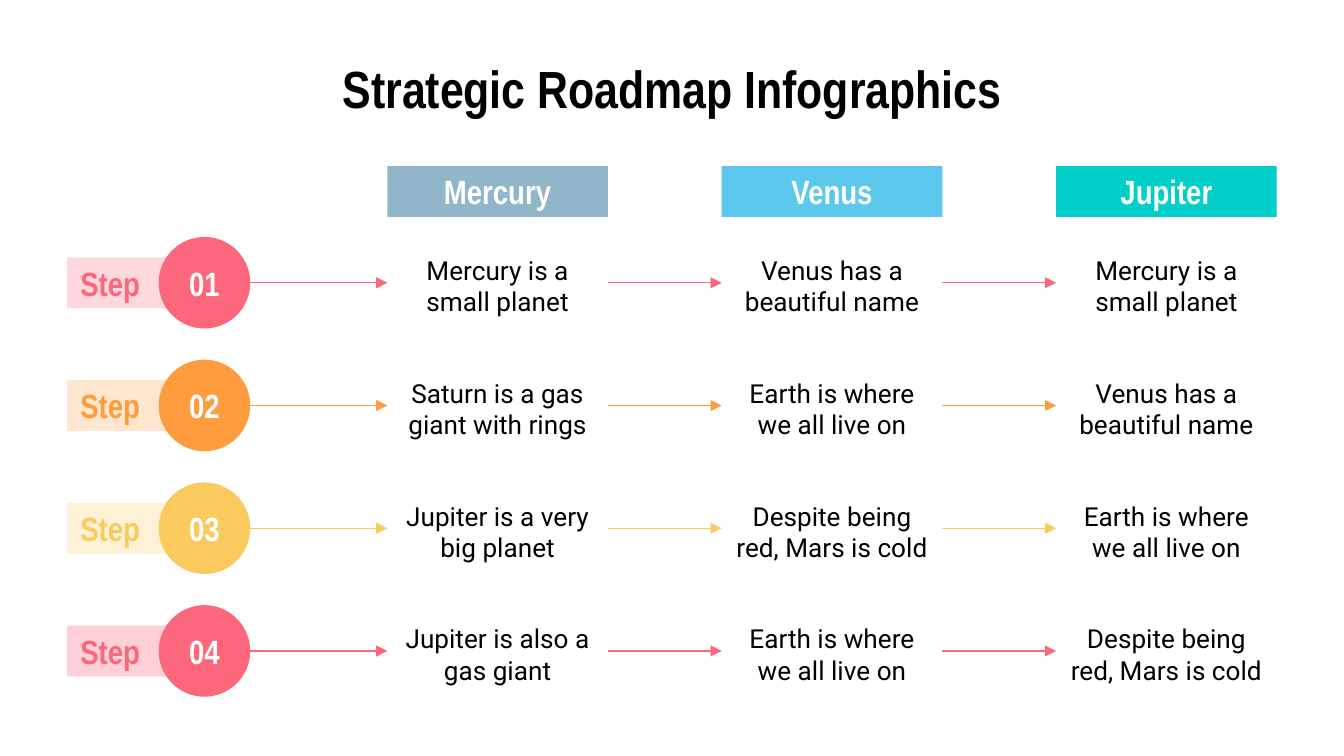
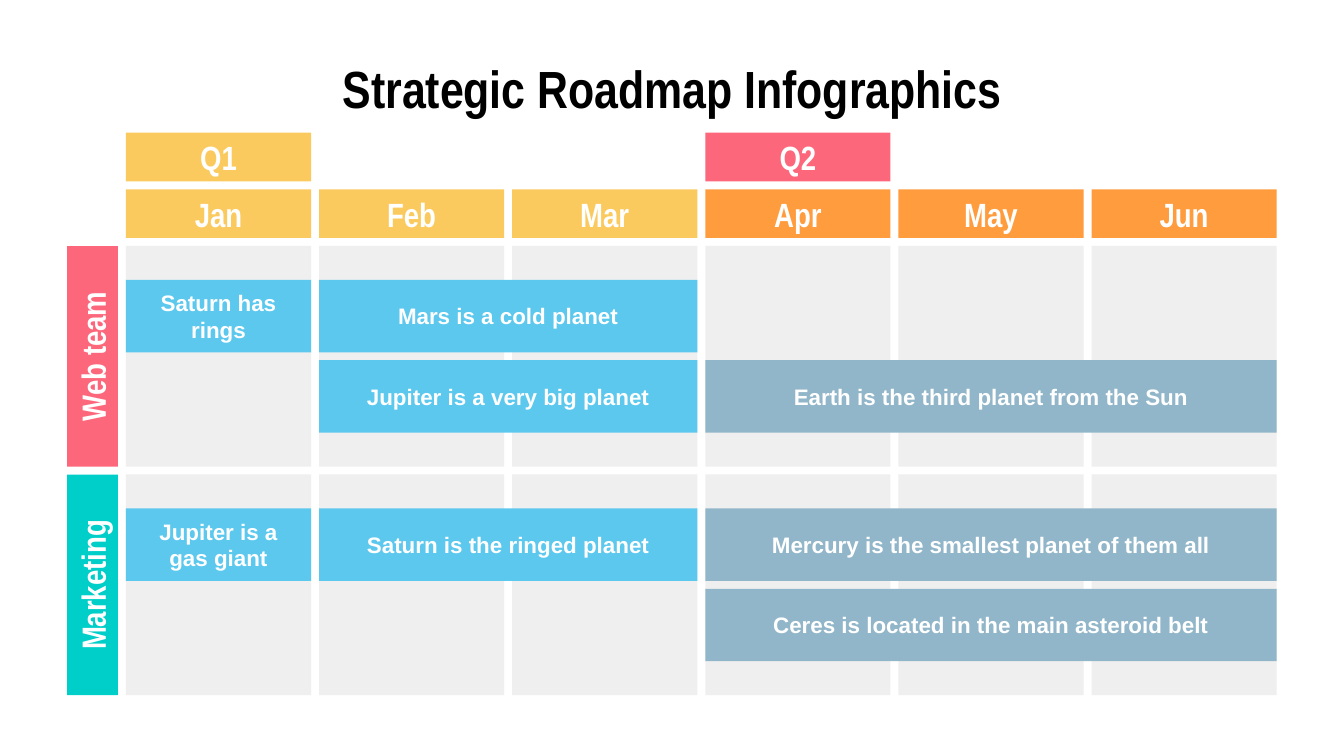
from dataclasses import dataclass

from lxml import etree
from pptx import Presentation
from pptx import util as u
from pptx.dml import color
from pptx.enum import shapes, text
from pptx.oxml import ns

KIND = shapes.MSO_SHAPE
MID = text.MSO_ANCHOR.MIDDLE
TOP = text.MSO_ANCHOR.TOP
PAD = 0.25


@dataclass(frozen=True)
class Theme:
    pink: str = "FD677B"
    orange: str = "FF9C3E"
    yellow: str = "FBCA5F"
    steel: str = "92B6C9"
    sky: str = "5CC8EE"
    teal: str = "00CEC8"
    grey: str = "EFEFEF"
    black: str = "000000"
    white: str = "FFFFFF"

    def style(self, name, tint=None):
        """Font values of a named text style."""
        face, size, bold, ink = {
            "title": ("Arial Narrow", 28, True, self.black),
            "head": ("Arial Narrow", 18, True, self.white),
            "bar": ("Arial", 12, True, self.white),
            "body": ("Roboto", 14, False, self.black),
        }[name]
        return {"name": face, "size": u.Pt(size), "bold": bold}, tint or ink


THEME = Theme()

HEADS = [("Mercury", THEME.steel), ("Venus", THEME.sky), ("Jupiter", THEME.teal)]
STEPS = [
    (THEME.pink, 25, ["Mercury is a small planet", "Venus has a beautiful name",
                      "Mercury is a small planet"]),
    (THEME.orange, 25, ["Saturn is a gas giant with rings", "Earth is where we all live on",
                        "Venus has a beautiful name"]),
    (THEME.yellow, 25, ["Jupiter is a very big planet", "Despite being red, Mars is cold",
                        "Earth is where we all live on"]),
    (THEME.pink, 31, ["Jupiter is also a gas giant", "Earth is where we all live on",
                      "Despite being red, Mars is cold"]),
]
MONTHS = ["Jan", "Feb", "Mar", "Apr", "May", "Jun"]
TERMS = [("Q1", 0, THEME.yellow), ("Q2", 3, THEME.pink)]
# Each bar: words, first month, months covered, line within the team
TEAMS = [
    ("Web team", THEME.pink, [
        ("Saturn has rings", 0, 1, 0), ("Mars is a cold planet", 1, 2, 0),
        ("Jupiter is a very big planet", 1, 2, 1),
        ("Earth is the third planet from the Sun", 3, 3, 1)]),
    ("Marketing", THEME.teal, [
        ("Jupiter is a gas giant", 0, 1, 0), ("Saturn is the ringed planet", 1, 2, 0),
        ("Mercury is the smallest planet of them all", 3, 3, 0),
        ("Ceres is located in the main asteroid belt", 3, 3, 1)]),
]


def cm(*sizes):
    return [u.Cm(size) for size in sizes]


def write(shape, words, style, tint=None, align="CENTER", anchor=MID):
    frame = shape.text_frame
    side = u.Cm(PAD)
    values = {"word_wrap": True, "auto_size": text.MSO_AUTO_SIZE.NONE,
              "vertical_anchor": anchor, "margin_left": side, "margin_right": side,
              "margin_top": side, "margin_bottom": side}
    for key, value in values.items():
        setattr(frame, key, value)
    para = frame.paragraphs[0]
    para.alignment = getattr(text.PP_ALIGN, align)
    run = para.add_run()
    run.text = words
    values, ink = THEME.style(style, tint)
    for key, value in values.items():
        setattr(run.font, key, value)
    run.font.color.rgb = color.RGBColor.from_string(ink)


def block(slide, box, fill, kind=KIND.RECTANGLE, alpha=None):
    """Filled shape without outline; alpha is the opacity in percent."""
    shape = slide.shapes.add_shape(kind, *cm(*box))
    shape.shadow.inherit = False
    shape.fill.solid()
    shape.fill.fore_color.rgb = color.RGBColor.from_string(fill)
    shape.line.fill.background()
    if alpha:
        tone = shape.fill.fore_color
        node = shape.element.spPr.find(ns.qn("a:solidFill")).find(ns.qn("a:srgbClr"))
        etree.SubElement(node, ns.qn("a:alpha"), val=str(alpha * 1000))
    return shape


def label(slide, box, words, fill):
    shape = block(slide, box, fill)
    write(shape, words, "head")
    return shape


def note(slide, box, words):
    shape = slide.shapes.add_textbox(*cm(*box))
    write(shape, words, "body", anchor=TOP)


def arrow(slide, left, right, y, tint):
    line = slide.shapes.add_connector(shapes.MSO_CONNECTOR.STRAIGHT, *cm(left, y, right, y))
    line.line.color.rgb = color.RGBColor.from_string(tint)
    line.line.width = u.Pt(0.75)
    etree.SubElement(line.line._get_or_add_ln(), ns.qn("a:tailEnd"), type="triangle")
    etree.SubElement(line.element.spPr, ns.qn("a:effectLst"))


def badge(slide, box, count, tint, alpha):
    """Step tag with a numbered disc at its right end."""
    x, y, w, h = box
    tag = 0.96
    bar = block(slide, (x, y + (h - tag) / 2, 2.59, tag), tint, alpha=alpha)
    write(bar, "Step", "head", tint, "LEFT")
    disc = block(slide, (x + w - h, y, h, h), tint, KIND.OVAL)
    write(disc, f"{count:02}", "head")


def start(deck):
    """New slide with the shared title."""
    slide = deck.slides.add_slide(deck.slide_layouts[5])
    title = slide.shapes.title
    title.left, title.top, title.width, title.height = cm(1.27, 1.14, 22.86, 1.04)
    write(title, "Strategic Roadmap Infographics", "title")
    return slide


def steps(slide, box):
    """Step rows under planet heads, joined by arrows."""
    x, y, w, h = box
    wide, pitch, disc = 4.17, 6.32, 1.73
    lefts = [x + w - wide - pitch * (2 - col) for col in range(3)]
    for left, (name, fill) in zip(lefts, HEADS):
        label(slide, (left, y, wide, 0.96), name, fill)
    tag, tall = 3.46, 1.57
    first = y + 1.34
    drop = (y + h - disc - first) / (len(STEPS) - 1)
    for row, (tint, alpha, notes) in enumerate(STEPS):
        top = first + row * drop
        mid = top + disc / 2
        badge(slide, (x, top, tag, disc), row + 1, tint, alpha)
        ends = [x + tag] + [left + wide for left in lefts]
        for end, left, words in zip(ends, lefts, notes):
            arrow(slide, end, left, mid, tint)
            note(slide, (left, mid - tall / 2, wide, tall), words)


def plan(slide, box):
    """Team rows across six months, with bars for the work."""
    x, y, w, h = box
    gap, side, head = 0.15, 0.96, 0.92
    left = x + side + gap
    wide = (x + w - left - 5 * gap) / 6
    top = y + 2 * (head + gap)
    tall = (y + h - top - gap) / 2

    def span(col, count=1):
        return left + col * (wide + gap), count * (wide + gap) - gap

    def cell(col, line_top, high, count=1):
        start_x, width = span(col, count)
        return start_x, line_top, width, high

    for name, col, fill in TERMS:
        label(slide, cell(col, y, head), name, fill)
    for col, name in enumerate(MONTHS):
        fill = THEME.yellow if col < 3 else THEME.orange
        label(slide, cell(col, y + head + gap, head), name, fill)
    for row, (name, fill, bars) in enumerate(TEAMS):
        edge = top + row * (tall + gap)
        for col in range(6):
            block(slide, cell(col, edge, tall), THEME.grey)
        turn = (tall - side) / 2
        tab = label(slide, (x - turn, edge + turn, tall, side), name, fill)
        tab.rotation = 270
        for words, col, count, line in bars:
            high = 1.37
            tint = THEME.sky if col < 3 else THEME.steel
            spot = cell(col, edge + 0.64 + line * (high + gap), high, count)
            bar = block(slide, spot, tint, KIND.ROUNDED_RECTANGLE)
            bar.adjustments[0] = 0
            write(bar, words, "bar")


def main():
    deck = Presentation()
    deck.slide_width, deck.slide_height = cm(25.4, 14.29)
    steps(start(deck), (1.27, 3.14, 22.86, 10.03))
    plan(start(deck), (1.27, 2.51, 22.86, 10.63))
    deck.save("out.pptx")


if __name__ == "__main__":
    main()
